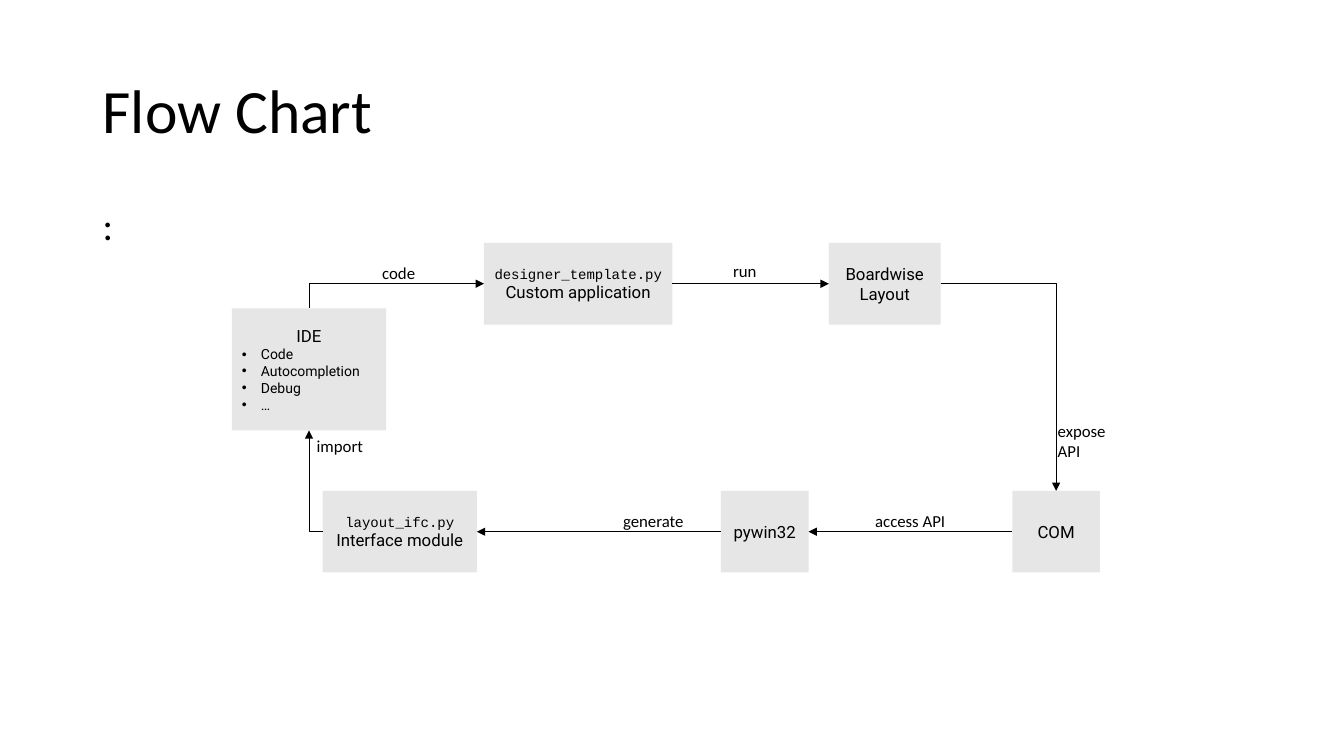
"""Build a flow chart slide of an automation tool chain."""
from lxml import etree
from pptx import Presentation
from pptx.dml.color import RGBColor
from pptx.enum.shapes import MSO_CONNECTOR, MSO_SHAPE
from pptx.enum.text import MSO_ANCHOR, PP_ALIGN
from pptx.oxml.ns import qn
from pptx.util import Inches, Pt

RECTANGLE = MSO_SHAPE.RECTANGLE
STRAIGHT, ELBOW = MSO_CONNECTOR.STRAIGHT, MSO_CONNECTOR.ELBOW
TOP_ANCHOR, MIDDLE = MSO_ANCHOR.TOP, MSO_ANCHOR.MIDDLE
LEFT_ALIGN, CENTER = PP_ALIGN.LEFT, PP_ALIGN.CENTER
TOP, LEFT, BOTTOM, RIGHT = range(4)

BLACK, GREY = "000000", "E7E6E6"
TITLE = {"name": "Calibri", "size": Pt(44)}
BODY = {"name": "Calibri", "size": Pt(28)}
LABEL = {"name": "Calibri", "size": Pt(12)}
NAME = {"name": "Roboto", "size": Pt(12)}
FILE = {"name": "Courier New", "size": Pt(10)}
BULLET = {"name": "Roboto", "size": Pt(10)}

UPPER_ROW, LOWER_ROW, ROW_HEIGHT = 2.41, 4.87, 0.81
HEADINGS = [
    ("Flow Chart", TITLE, (0.92, 0.4, 11.5, 1.45), MIDDLE),
    (":", BODY, (0.92, 2, 11.5, 4.76), TOP_ANCHOR),
]
BOXES = {
    "layout": ((8.22, UPPER_ROW, 1.11, ROW_HEIGHT), [("Boardwise Layout", NAME)]),
    "pywin32": ((7.15, LOWER_ROW, 0.87, ROW_HEIGHT), [("pywin32", NAME)]),
    "com": ((10.04, LOWER_ROW, 0.87, ROW_HEIGHT), [("COM", NAME)]),
    "interface": ((3.2, LOWER_ROW, 1.53, ROW_HEIGHT),
                  [("layout_ifc.py", FILE), ("Interface module", NAME)]),
    "application": ((4.8, UPPER_ROW, 1.87, ROW_HEIGHT),
                    [("designer_template.py", FILE), ("Custom application", NAME)]),
    "ide": ((2.3, 3.06, 1.53, 1.21),
            [("IDE", NAME), ("Code", BULLET), ("Autocompletion", BULLET),
             ("Debug", BULLET), ("…", BULLET)]),
}
ARROWS = [
    ("application", RIGHT, "layout", LEFT, STRAIGHT, "tailEnd"),
    ("layout", RIGHT, "com", TOP, ELBOW, "tailEnd"),
    ("com", LEFT, "pywin32", RIGHT, STRAIGHT, "tailEnd"),
    ("pywin32", LEFT, "interface", RIGHT, STRAIGHT, "tailEnd"),
    ("interface", LEFT, "ide", BOTTOM, ELBOW, "tailEnd"),
    ("application", LEFT, "ide", TOP, ELBOW, "headEnd"),
]
LABELS = [
    (["code"], (3.79, 2.61, 0.35, 0.2)),
    (["run"], (7.27, 2.59, 0.25, 0.2)),
    (["expose", "API"], (10.49, 4.17, 0.58, 0.4)),
    (["access API"], (8.68, 5.07, 0.81, 0.2)),
    (["generate"], (6.18, 5.07, 0.66, 0.2)),
    (["import"], (3.14, 4.32, 0.48, 0.2)),
]


def color(value):
    """Turn a hex string into a colour."""
    return RGBColor.from_string(value)


def set_attributes(target, values):
    """Set each named value on the target."""
    for name, value in values.items():
        setattr(target, name, value)


def write(frame, lines, alignment, spacing=1.0):
    """Write styled lines as the paragraphs of a text frame."""
    for index, (text, style) in enumerate(lines):
        paragraph = frame.paragraphs[0] if index == 0 else frame.add_paragraph()
        paragraph.text = text
        set_attributes(paragraph, {"alignment": alignment, "line_spacing": spacing})
        if style is BULLET:
            paragraph.alignment = LEFT_ALIGN
            properties = paragraph._p.get_or_add_pPr()
            properties.set("marL", str(Inches(0.19)))
            properties.set("indent", str(-Inches(0.19)))
            etree.SubElement(properties, qn("a:buFont"), typeface="Arial")
            etree.SubElement(properties, qn("a:buChar"), char="•")
        font = paragraph.runs[0].font
        set_attributes(font, style)
        font.color.rgb = color(BLACK)


def set_margins(frame, inset):
    """Give a text frame the same inset on every side."""
    sides = ("left", "top", "right", "bottom")
    set_attributes(frame, {f"margin_{side}": Inches(inset) for side in sides})


def add_text(slide, place, lines, wrap, anchor=TOP_ANCHOR, spacing=1.0):
    """Add a text box and return its frame."""
    frame = slide.shapes.add_textbox(*map(Inches, place)).text_frame
    set_attributes(frame, {"word_wrap": wrap, "vertical_anchor": anchor})
    write(frame, lines, LEFT_ALIGN, spacing)
    return frame


def add_box(slide, place, lines):
    """Add a grey box with centred text."""
    shape = slide.shapes.add_shape(RECTANGLE, *map(Inches, place))
    shape.shadow.inherit = False
    shape.fill.solid()
    shape.fill.fore_color.rgb = color(GREY)
    shape.line.fill.background()
    frame = shape.text_frame
    set_attributes(frame, {"word_wrap": True, "vertical_anchor": MIDDLE})
    set_margins(frame, 0.1)
    write(frame, lines, CENTER)
    return shape


def side_point(shape, side):
    """Return the middle of one side of a shape."""
    across = {LEFT: 0, RIGHT: shape.width}.get(side, shape.width // 2)
    down = {TOP: 0, BOTTOM: shape.height}.get(side, shape.height // 2)
    return shape.left + across, shape.top + down


def add_arrow(slide, start, start_side, end, end_side, kind, arrow_end):
    """Join two boxes with an arrow."""
    connector = slide.shapes.add_connector(
        kind, *side_point(start, start_side), *side_point(end, end_side))
    connector.begin_connect(start, start_side)
    connector.end_connect(end, end_side)
    connector.line.width = Pt(0.5)
    connector.line.color.rgb = color(BLACK)
    properties = connector._element.spPr
    if kind == ELBOW:
        properties.find(qn("a:prstGeom")).set("prst", "bentConnector2")
    etree.SubElement(properties.find(qn("a:ln")), qn(f"a:{arrow_end}"), type="triangle")
    etree.SubElement(properties, qn("a:effectLst"))


def main():
    """Build and save the slide."""
    presentation = Presentation()
    set_attributes(presentation, {"slide_width": Inches(13.33), "slide_height": Inches(7.5)})
    slide = presentation.slides.add_slide(presentation.slide_layouts[6])
    for text, style, place, anchor in HEADINGS:
        add_text(slide, place, [(text, style)], True, anchor, 0.9)
    boxes = {key: add_box(slide, *box) for key, box in BOXES.items()}
    for start, start_side, end, end_side, kind, arrow_end in ARROWS:
        add_arrow(slide, boxes[start], start_side, boxes[end], end_side, kind, arrow_end)
    for lines, place in LABELS:
        frame = add_text(slide, place, [(line, LABEL) for line in lines], False)
        set_margins(frame, 0)
    presentation.save("out.pptx")


if __name__ == "__main__":
    main()
